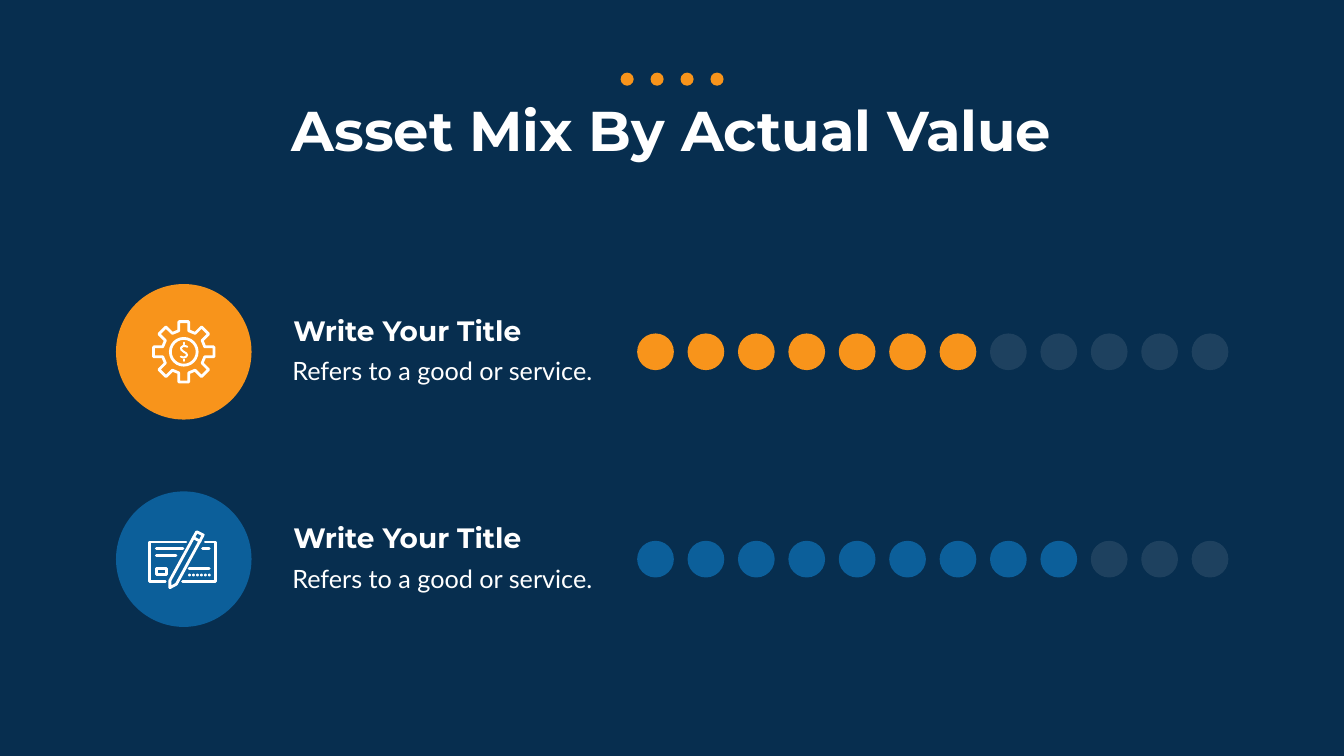
"""Build the "Asset Mix By Actual Value" slide with two dot-scale rows."""
from dataclasses import dataclass
from math import cos, pi, sin
from typing import Callable, Sequence

from lxml.etree import SubElement
from pptx import Presentation
from pptx.dml.color import RGBColor
from pptx.enum.shapes import MSO_CONNECTOR as Connector, MSO_SHAPE as Preset
from pptx.enum.text import MSO_AUTO_SIZE as AutoSize, PP_ALIGN as Align
from pptx.oxml.ns import qn
from pptx.util import Cm, Pt

NAVY = RGBColor(0x07, 0x2E, 0x4F)
ORANGE = RGBColor(0xF8, 0x94, 0x1B)
BLUE = RGBColor(0x0C, 0x5F, 0x9A)
WHITE = RGBColor(0xFF, 0xFF, 0xFF)
PALE = RGBColor(0xF2, 0xF2, 0xF2)

WIDTH, HEIGHT = 67.72, 38.1
ICON_X, ICON_SIZE = 9.26, 6.83
SCALE_X, SCALE_PITCH, SCALE_STEPS, SCALE_DOT = 33.03, 2.54, 12, 1.85

Point = tuple[float, float]


@dataclass(frozen=True)
class AssetRow:
    center_y: float
    color: RGBColor
    score: int
    draw_icon: Callable
    title: str = "Write Your Title"
    detail: str = "Refers to a good or service."


def add_filled(slide, preset: Preset, left: float, top: float, width: float,
               height: float, color: RGBColor, opacity: int = 100):
    shape = slide.shapes.add_shape(preset, Cm(left), Cm(top), Cm(width), Cm(height))
    shape.shadow.inherit = False
    shape.fill.solid()
    shape.fill.fore_color.rgb = color
    shape.line.fill.background()
    if opacity < 100:
        color_element = shape._element.spPr.find(qn("a:solidFill"))[0]
        SubElement(color_element, qn("a:alpha")).set("val", str(opacity * 1000))
    return shape


def add_dot(slide, x: float, y: float, size: float, color: RGBColor, opacity: int = 100):
    return add_filled(slide, Preset.OVAL, x - size / 2, y - size / 2, size, size,
                      color, opacity)


def style_line(shape, weight: float) -> None:
    shape.line.color.rgb = WHITE
    shape.line.width = Pt(weight)
    line = shape._element.spPr.find(qn("a:ln"))
    line.set("cap", "rnd")
    SubElement(line, qn("a:round"))


def add_stroke(slide, center_y: float, points: Sequence[Point],
               closed: bool = False, weight: float = 4) -> None:
    places = [(Cm(ICON_X + x), Cm(center_y + y)) for x, y in points]
    if len(places) == 2:
        connector = slide.shapes.add_connector(Connector.STRAIGHT, *places[0], *places[1])
        style_line(connector, weight)
        SubElement(connector._element.spPr, qn("a:effectLst"))
        return
    builder = slide.shapes.build_freeform(*places[0])
    builder.add_line_segments(places[1:], close=closed)
    shape = builder.convert_to_shape()
    shape.fill.background()
    style_line(shape, weight)
    shape.shadow.inherit = False


def draw_gear(slide, center_y: float) -> None:
    tip, base, half, teeth = 1.52, 1.06, 0.25, 8
    profile = [(base, -half), (tip, -half), (tip, half), (base, half)]
    angles = [2 * pi * tooth / teeth for tooth in range(teeth)]
    outline = [(out * cos(angle) - side * sin(angle), out * sin(angle) + side * cos(angle))
               for angle in angles for out, side in profile]
    add_stroke(slide, center_y, outline, closed=True)

    ring = add_dot(slide, ICON_X, center_y, 1.35, WHITE)
    ring.fill.background()
    style_line(ring, 4)

    dollar = [(0.18, -0.25), (0.08, -0.29), (-0.05, -0.28), (-0.14, -0.2),
              (-0.12, -0.1), (0, 0), (0.13, 0.08), (0.17, 0.17), (0.1, 0.26),
              (-0.02, 0.29), (-0.15, 0.24)]
    add_stroke(slide, center_y, dollar, weight=2.8)
    for sign in (-1, 1):
        add_stroke(slide, center_y, [(0, sign * 0.46), (0, sign * 0.38)], weight=2.8)


def draw_check(slide, center_y: float) -> None:
    card_left = [(-0.93, 1.13), (-1.71, 1.13), (-1.71, -0.86), (0.11, -0.86)]
    card_right = [(-0.06, 1.13), (1.61, 1.13), (1.61, -0.86), (1.08, -0.86)]
    for edge in (card_left, card_right):
        add_stroke(slide, center_y, edge)
    for start, end, y in ((-1.38, -0.04, -0.53), (-1.38, -0.39, -0.2),
                          (0.27, 1.28, 0.46), (0.95, 1.28, -0.53)):
        add_stroke(slide, center_y, [(start, y), (end, y)])
    for index in range(6):
        add_dot(slide, ICON_X + 0.29 + 0.2 * index, center_y + 0.8, 0.14, WHITE)

    stamp = [(-1.38, 0.46), (-0.88, 0.46), (-0.88, 0.79), (-1.38, 0.79)]
    pencil = [(-0.7, 1.44), (-0.7, 1.08), (0.65, -1.38), (0.98, -1.22), (-0.37, 1.26)]
    for outline in (stamp, pencil):
        add_stroke(slide, center_y, outline, closed=True)
    add_stroke(slide, center_y, [(0.47, -1.09), (0.83, -0.9)])


def add_text(slide, text: str, *, left: float, top: float, width: float, height: float,
             size: int, font: str = "Montserrat", bold: bool = True,
             align: Align = Align.LEFT, inset: Point = (0.25, 0.13)) -> None:
    box = slide.shapes.add_textbox(Cm(left), Cm(top), Cm(width), Cm(height))
    frame = box.text_frame
    frame.word_wrap = True
    frame.auto_size = AutoSize.SHAPE_TO_FIT_TEXT
    frame.margin_left = frame.margin_right = Cm(inset[0])
    frame.margin_top = frame.margin_bottom = Cm(inset[1])
    paragraph = frame.paragraphs[0]
    paragraph.alignment = align
    run = paragraph.add_run()
    run.text = text
    run.font.name = font
    run.font.size = Pt(size)
    run.font.bold = bold
    run.font.color.rgb = WHITE


def draw_row(slide, row: AssetRow) -> None:
    for step in range(SCALE_STEPS):
        color, opacity = (row.color, 100) if step < row.score else (PALE, 10)
        add_dot(slide, SCALE_X + step * SCALE_PITCH, row.center_y, SCALE_DOT, color, opacity)
    add_dot(slide, ICON_X, row.center_y, ICON_SIZE, row.color)
    row.draw_icon(slide, row.center_y)
    add_text(slide, row.detail, left=14.12, top=row.center_y - 0.1, width=17.17,
             height=2.16, size=36, font="Lato", bold=False, inset=(0.61, 0.3))
    add_text(slide, row.title, left=14.53, top=row.center_y - 2.06, width=14.4,
             height=1.96, size=40)


def main() -> None:
    presentation = Presentation()
    presentation.slide_width, presentation.slide_height = Cm(WIDTH), Cm(HEIGHT)
    slide = presentation.slides.add_slide(presentation.slide_layouts[6])
    add_filled(slide, Preset.RECTANGLE, 0, 0, WIDTH, HEIGHT, NAVY)
    add_text(slide, "Asset Mix By Actual Value", left=12.6, top=4.67, width=42.49,
             height=3.68, size=80, align=Align.CENTER)
    for index in range(4):
        add_dot(slide, 31.6 + 1.51 * index, 3.99, 0.66, ORANGE)
    for row in (AssetRow(17.73, ORANGE, 7, draw_gear), AssetRow(28.18, BLUE, 9, draw_check)):
        draw_row(slide, row)
    presentation.save("out.pptx")


if __name__ == "__main__":
    main()
